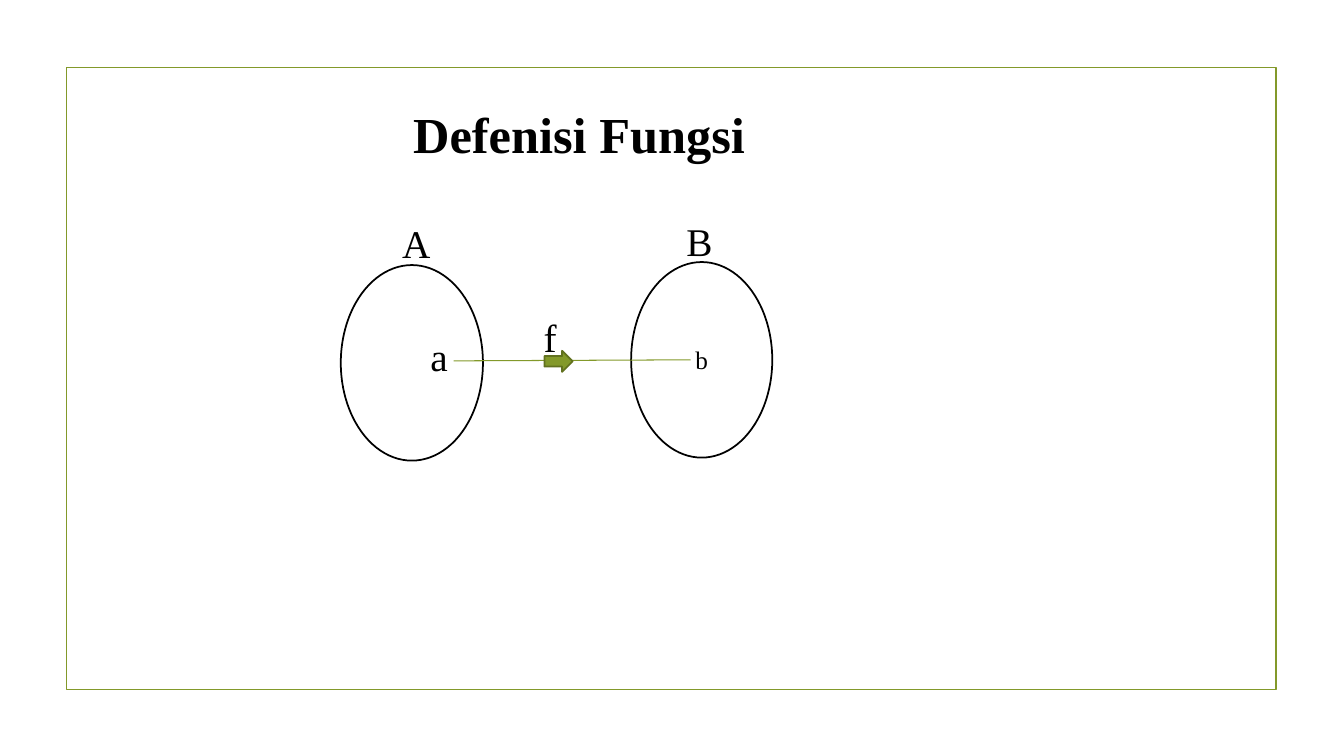
from dataclasses import dataclass
from typing import Optional

from lxml.etree import SubElement
from pptx import Presentation
from pptx.dml.color import RGBColor
from pptx.enum.shapes import MSO_CONNECTOR, MSO_SHAPE
from pptx.enum.text import MSO_ANCHOR, PP_ALIGN
from pptx.oxml.ns import qn
from pptx.shapes.autoshape import Shape
from pptx.slide import Slide
from pptx.text.text import TextFrame
from pptx.util import Emu, Pt

EMU_PER_PX = 9144  # 100 px to the inch
FONT = "Times New Roman"
BLACK = RGBColor(0x00, 0x00, 0x00)
WHITE = RGBColor(0xFF, 0xFF, 0xFF)
OLIVE = RGBColor(0x83, 0x99, 0x2A)
DARK_OLIVE = RGBColor(0x61, 0x71, 0x1F)


@dataclass(frozen=True)
class Outline:
    kind: MSO_SHAPE
    left: int
    top: int
    width: int
    height: int
    line: RGBColor
    fill: Optional[RGBColor] = None


@dataclass(frozen=True)
class Label:
    text: str
    left: int
    top: int
    width: int = 41
    height: int = 57
    size: int = 28
    bold: bool = False
    align: PP_ALIGN = PP_ALIGN.CENTER


FRAME = Outline(MSO_SHAPE.RECTANGLE, 66, 67, 1200, 617, OLIVE)
DOMAIN = Outline(MSO_SHAPE.OVAL, 338, 263, 141, 194, BLACK, WHITE)
CODOMAIN = Outline(MSO_SHAPE.OVAL, 626, 260, 140, 194, BLACK, WHITE)
MAPPING_ARROW = Outline(MSO_SHAPE.RIGHT_ARROW, 540, 348, 28, 21, DARK_OLIVE, OLIVE)

TITLE = Label("Defenisi Fungsi", 400, 97, 399, 71, 36, True, PP_ALIGN.LEFT)
ELEMENT_A = Label("a", 415, 325)
MAPPING_LABELS = [Label("f", 525, 306), Label("A", 389, 213), Label("B", 671, 211)]


def px(length: int) -> Emu:
    return Emu(length * EMU_PER_PX)


def write(frame: TextFrame, text: str, size: int, bold: bool, align: PP_ALIGN) -> None:
    paragraph = frame.paragraphs[0]
    paragraph.alignment = align
    run = paragraph.add_run()
    run.text = text
    run.font.name = FONT
    run.font.size = Pt(size)
    run.font.bold = bold
    run.font.color.rgb = BLACK


def draw_outline(slide: Slide, item: Outline) -> Shape:
    shape = slide.shapes.add_shape(
        item.kind, px(item.left), px(item.top), px(item.width), px(item.height)
    )
    shape.shadow.inherit = False
    if item.fill is None:
        shape.fill.background()
    else:
        shape.fill.solid()
        shape.fill.fore_color.rgb = item.fill
    shape.line.color.rgb = item.line
    shape.line.width = Pt(1.25)
    return shape


def draw_label(slide: Slide, label: Label) -> None:
    box = slide.shapes.add_textbox(
        px(label.left), px(label.top), px(label.width), px(label.height)
    )
    box.text_frame.word_wrap = True
    write(box.text_frame, label.text, label.size, label.bold, label.align)


def draw_mapping_line(slide: Slide) -> None:
    mapping = slide.shapes.add_connector(
        MSO_CONNECTOR.STRAIGHT, px(450), px(358), px(685), px(357)
    )
    mapping.line.color.rgb = OLIVE
    mapping.line.width = Pt(0.75)
    SubElement(mapping._element.spPr, qn("a:effectLst"))


def main() -> None:
    deck = Presentation()
    deck.slide_width, deck.slide_height = px(1333), px(750)
    slide = deck.slides.add_slide(deck.slide_layouts[6])

    # Frame and title
    draw_outline(slide, FRAME)
    draw_label(slide, TITLE)

    # The two sets, with element b inside the second
    draw_outline(slide, DOMAIN)
    codomain = draw_outline(slide, CODOMAIN)
    codomain.text_frame.vertical_anchor = MSO_ANCHOR.MIDDLE
    write(codomain.text_frame, "b", 18, False, PP_ALIGN.CENTER)

    # The mapping from a to b
    draw_mapping_line(slide)
    draw_label(slide, ELEMENT_A)
    draw_outline(slide, MAPPING_ARROW)

    # Names of the function and of the sets
    for label in MAPPING_LABELS:
        draw_label(slide, label)

    deck.save("out.pptx")


if __name__ == "__main__":
    main()
